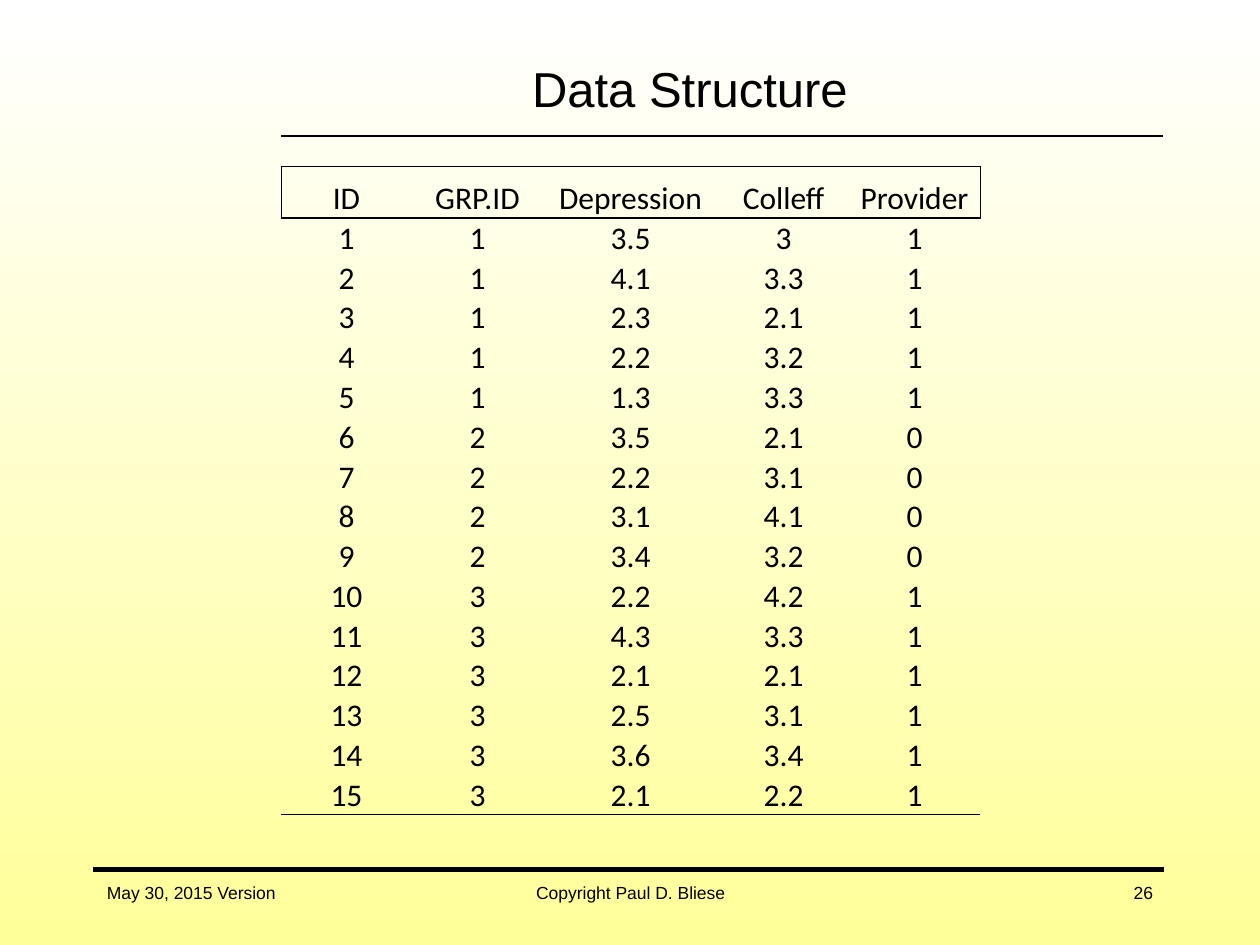
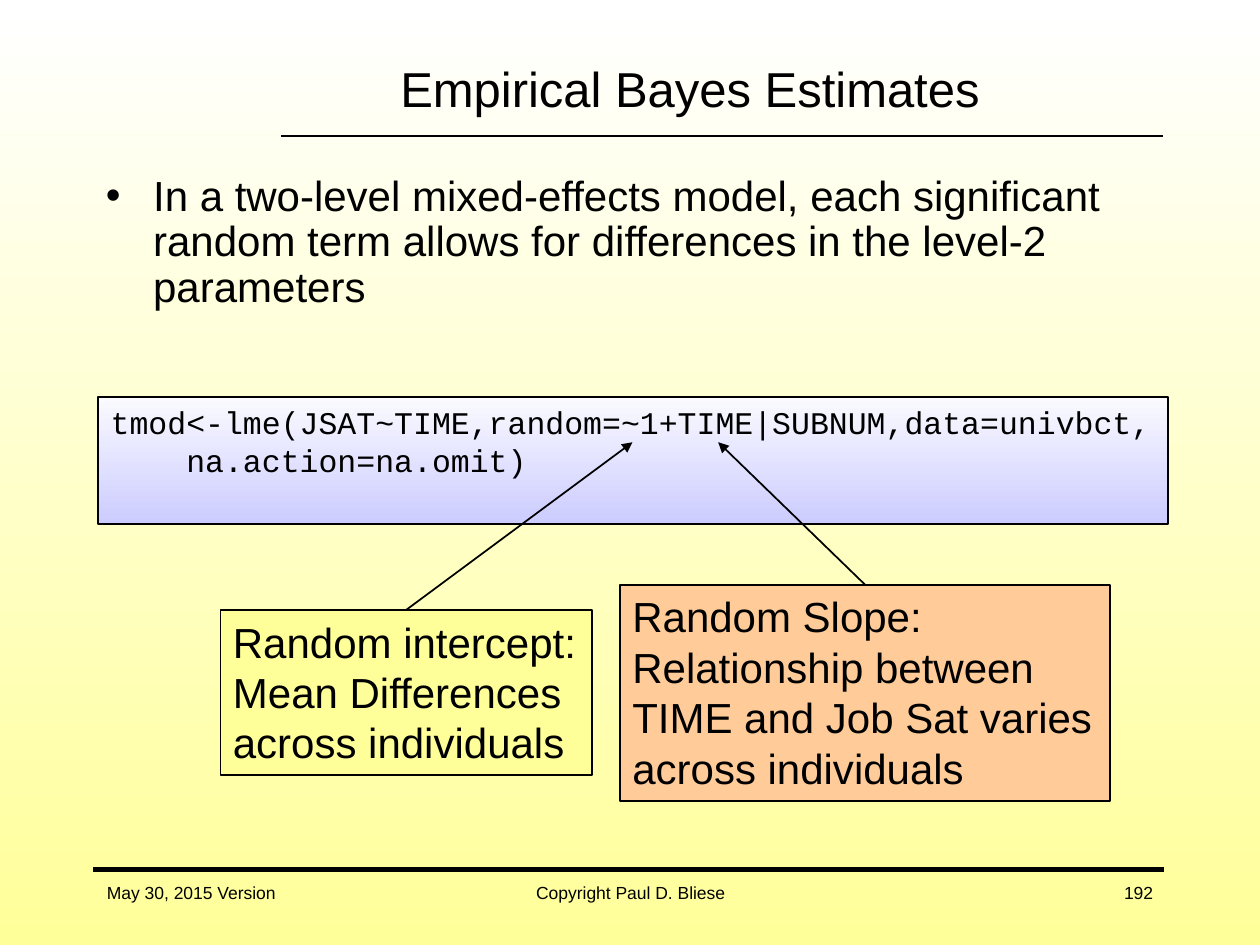
"""Build two statistics slides: a data table and an annotated model call."""
from dataclasses import dataclass

import lxml.etree
import pptx
import pptx.dml.color
import pptx.enum.shapes
import pptx.enum.text
import pptx.oxml.ns
import pptx.util

Inches = pptx.util.Inches
Pt = pptx.util.Pt
Align = pptx.enum.text.PP_ALIGN
Anchor = pptx.enum.text.MSO_ANCHOR


@dataclass(frozen=True)
class Theme:
    """Colours, fonts and sizes shared by the slides."""
    ink: str = "000000"
    white: str = "FFFFFF"
    yellow: str = "FFFF99"
    orange: str = "FFCC99"
    code_top: str = "FAFAFF"
    code_bottom: str = "CCCCFF"
    font: str = "Arial"
    table_font: str = "Calibri"
    code_font: str = "Courier New"
    title_size: int = 28
    body_size: int = 24
    table_size: int = 18
    code_size: int = 18
    footer_size: int = 10


THEME = Theme()
HEADINGS = ["ID", "GRP.ID", "Depression", "Colleff", "Provider"]
GROUPS = [1] * 5 + [2] * 4 + [3] * 6
DEPRESSION = [3.5, 4.1, 2.3, 2.2, 1.3, 3.5, 2.2, 3.1, 3.4, 2.2, 4.3, 2.1, 2.5, 3.6, 2.1]
COLLEFF = [3, 3.3, 2.1, 3.2, 3.3, 2.1, 3.1, 4.1, 3.2, 4.2, 3.3, 2.1, 3.1, 3.4, 2.2]
PROVIDER_BY_GROUP = {1: 1, 2: 0, 3: 1}


def rgb(colour):
    """Turn a hex string into a colour."""
    return pptx.dml.color.RGBColor.from_string(colour)


def box(left, top, width, height):
    """Convert a rectangle in inches to lengths."""
    return [Inches(value) for value in (left, top, width, height)]


def place(shape, *rectangle):
    """Move and size a shape."""
    shape.left, shape.top, shape.width, shape.height = box(*rectangle)


def write(frame, lines, size, font=THEME.font, align=Align.LEFT, anchor=Anchor.TOP):
    """Fill a text frame with one paragraph per line."""
    frame.word_wrap = True
    frame.auto_size = pptx.enum.text.MSO_AUTO_SIZE.NONE
    frame.vertical_anchor = anchor
    write_paragraphs(frame, lines, size, font, align)


def write_paragraphs(frame, lines, size, font, align):
    """Add formatted paragraphs to a text frame."""
    for index, line in enumerate(lines):
        paragraph = frame.add_paragraph() if index else frame.paragraphs[0]
        paragraph.alignment = align
        run = paragraph.add_run()
        run.text = line
        run.font.size = Pt(size)
        run.font.name = font
        run.font.color.rgb = rgb(THEME.ink)


def fill_gradient(fill, top_colour, bottom_colour):
    """Apply a gradient running from top to bottom."""
    fill.gradient()
    fill.gradient_angle = 270
    for stop, position, colour in zip(fill.gradient_stops, (0, 1), (top_colour, bottom_colour)):
        stop.position = position
        stop.color.rgb = rgb(colour)


def add_line(slide, begin, end, width=1, source=None):
    """Draw a line, or an arrow from the top of a source box."""
    connector = slide.shapes.add_connector(
        pptx.enum.shapes.MSO_CONNECTOR.STRAIGHT, *box(*begin, *end))
    connector.line.color.rgb = rgb(THEME.ink)
    connector.line.width = Pt(width)
    properties = connector._element.spPr
    if source is not None:
        connector.begin_connect(source, 0)
        outline = properties.find(pptx.oxml.ns.qn("a:ln"))
        lxml.etree.SubElement(outline, pptx.oxml.ns.qn("a:tailEnd"), type="triangle")
    lxml.etree.SubElement(properties, pptx.oxml.ns.qn("a:effectLst"))


def add_footer(slide, text, left, width, align):
    """Add one footer text."""
    shape = slide.shapes.add_textbox(*box(left, 6.83, width, 0.5))
    write(shape.text_frame, [text], THEME.footer_size, align=align, anchor=Anchor.MIDDLE)


def add_slide(presentation, layout_name, title, number):
    """Add a slide with its title, rules and footers."""
    layout = presentation.slide_layouts.get_by_name(layout_name)
    slide = presentation.slides.add_slide(layout)
    add_line(slide, (2.23, 1.08), (9.23, 1.08))
    add_line(slide, (0.74, 6.9), (9.24, 6.9), 2.75)
    place(slide.shapes.title, 1.89, 0.28, 7.17, 0.83)
    write(slide.shapes.title.text_frame, [title], THEME.title_size,
          align=Align.CENTER, anchor=Anchor.MIDDLE)
    add_footer(slide, "May 30, 2015 Version", 0.75, 2.08, Align.LEFT)
    add_footer(slide, "Copyright Paul D. Bliese", 3.42, 3.17, Align.CENTER)
    add_footer(slide, str(number), 7.17, 2.08, Align.RIGHT)
    return slide


def add_box(slide, rectangle, lines, size, font=THEME.font):
    """Add an outlined rectangle with left-aligned text."""
    shape = slide.shapes.add_shape(pptx.enum.shapes.MSO_SHAPE.RECTANGLE, *box(*rectangle))
    shape.shadow.inherit = False
    shape.line.color.rgb = rgb(THEME.ink)
    shape.line.width = Pt(1)
    write(shape.text_frame, lines, size, font)
    return shape


def add_callout(slide, rectangle, colour, lines, target):
    """Add a coloured note with an arrow to its target."""
    shape = add_box(slide, rectangle, lines, THEME.body_size)
    shape.fill.solid()
    shape.fill.fore_color.rgb = rgb(colour)
    left, top, width, _ = rectangle
    add_line(slide, (left + width / 2, top), target, source=shape)


def set_borders(cell, widths):
    """Draw the given cell sides and clear the others."""
    properties = cell._tc.get_or_add_tcPr()
    for side in "LRTB":
        width = widths.get(side, 0)
        border = lxml.etree.SubElement(
            properties, pptx.oxml.ns.qn(f"a:ln{side}"), w=str(Pt(width)))
        kind = "a:solidFill" if width else "a:noFill"
        fill = lxml.etree.SubElement(border, pptx.oxml.ns.qn(kind))
        if width:
            lxml.etree.SubElement(fill, pptx.oxml.ns.qn("a:srgbClr"), val=THEME.ink)


def border_widths(row, column, last_row, last_column):
    """Give the ruled sides of a cell: framed header and closing line."""
    widths = {}
    if row == 0:
        widths.update(T=0.5, B=1)
        if column == 0:
            widths["L"] = 0.5
        if column == last_column:
            widths["R"] = 0.5
    elif row == 1:
        widths["T"] = 1
    elif row == last_row:
        widths["B"] = 0.5
    return widths


def add_data_table(slide, rows):
    """Add the data table."""
    header_height, total_height = 0.41, 5.15
    row_height = (total_height - header_height) / (len(rows) - 1)
    frame = slide.shapes.add_table(
        len(rows), len(rows[0]), *box(2.23, 1.32, 5.54, total_height))
    table = frame.table
    table.first_row = False
    table.horz_banding = False
    for column, width in zip(table.columns, (1.04, 1.04, 1.39, 1.04, 1.04)):
        column.width = Inches(width)
    for row_index, values in enumerate(rows):
        table.rows[row_index].height = Inches(row_height if row_index else header_height)
        for column_index, value in enumerate(values):
            cell = table.cell(row_index, column_index)
            cell.margin_left = cell.margin_right = cell.margin_top = Inches(0.01)
            cell.margin_bottom = 0
            cell.vertical_anchor = Anchor.BOTTOM
            write_paragraphs(cell.text_frame, [str(value)], THEME.table_size,
                             THEME.table_font, Align.CENTER)
            set_borders(cell, border_widths(
                row_index, column_index, len(rows) - 1, len(values) - 1))
            cell.fill.background()


def build_data_slide(presentation):
    """Build the slide with the grouped data."""
    slide = add_slide(presentation, "Title Only", "Data Structure", 26)
    records = [
        [number, group, depression, colleff, PROVIDER_BY_GROUP[group]]
        for number, (group, depression, colleff)
        in enumerate(zip(GROUPS, DEPRESSION, COLLEFF), start=1)]
    add_data_table(slide, [HEADINGS] + records)


def build_bayes_slide(presentation):
    """Build the slide that explains the random terms."""
    slide = add_slide(presentation, "Title and Content", "Empirical Bayes Estimates", 192)
    body = slide.placeholders[1]
    place(body, 0.74, 1.34, 8.5, 5.28)
    write(body.text_frame, [
        "In a two-level mixed-effects model, each significant random term "
        "allows for differences in the level-2 parameters"], THEME.body_size)
    paragraph = body.text_frame.paragraphs[0]
    paragraph.line_spacing = 0.9
    paragraph.space_before = Pt(0)
    code = add_box(slide, (0.78, 3.15, 8.49, 1.01), [
        "tmod<-lme(JSAT~TIME,random=~1+TIME|SUBNUM,data=univbct,",
        "    na.action=na.omit)"], THEME.code_size, THEME.code_font)
    fill_gradient(code.fill, THEME.code_top, THEME.code_bottom)
    add_callout(slide, (4.92, 4.64, 3.89, 1.72), THEME.orange, [
        "Random Slope:", "Relationship between",
        "TIME and Job Sat varies", "across individuals"], (5.7, 3.51))
    add_callout(slide, (1.75, 4.84, 2.95, 1.31), THEME.yellow, [
        "Random intercept:", "Mean Differences", "across individuals"], (5.02, 3.51))


def main():
    """Build and save the presentation."""
    presentation = pptx.Presentation()
    presentation.slide_width = Inches(10)
    presentation.slide_height = Inches(7.5)
    fill_gradient(presentation.slide_master.background.fill, THEME.white, THEME.yellow)
    build_data_slide(presentation)
    build_bayes_slide(presentation)
    presentation.save("out.pptx")


if __name__ == "__main__":
    main()
